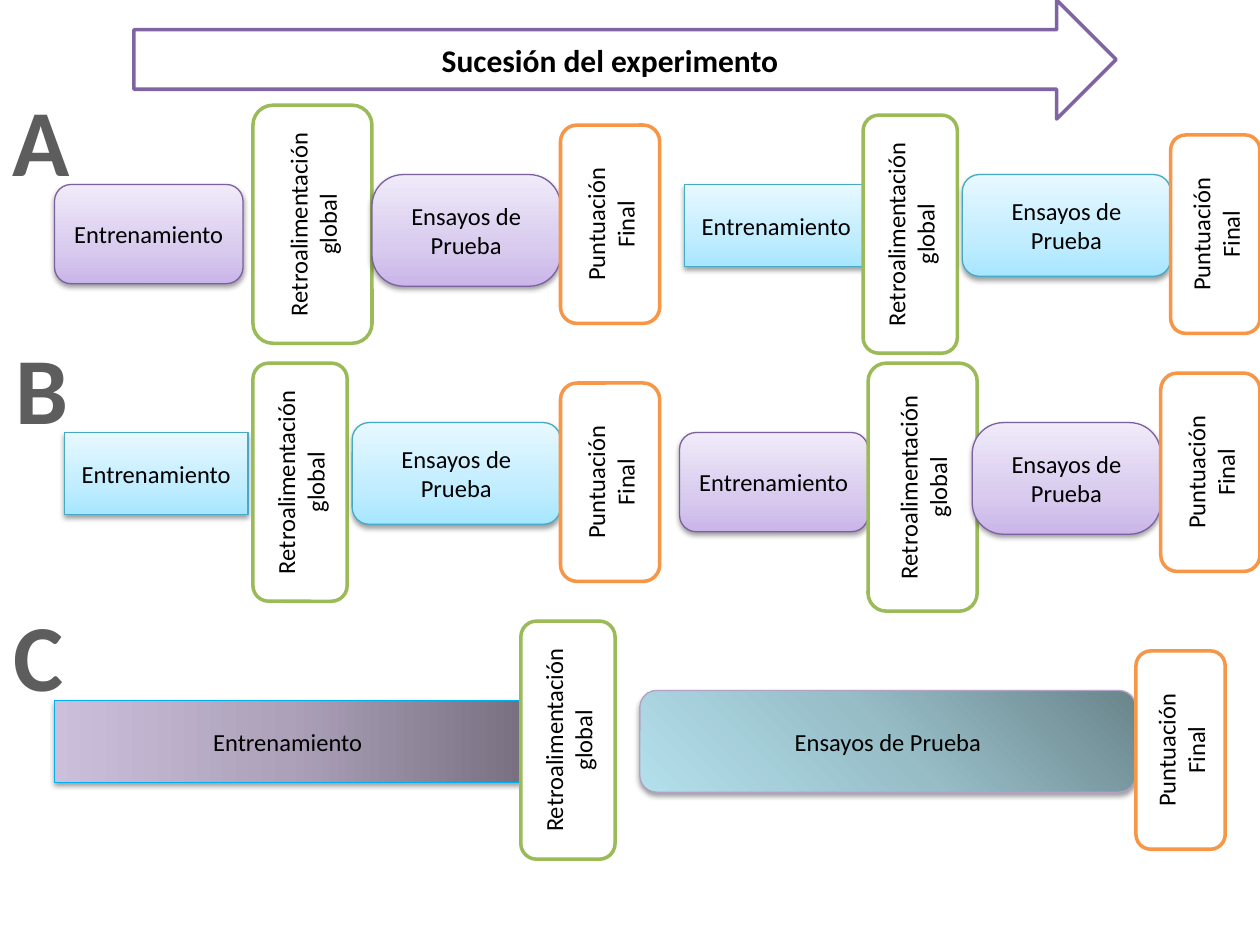
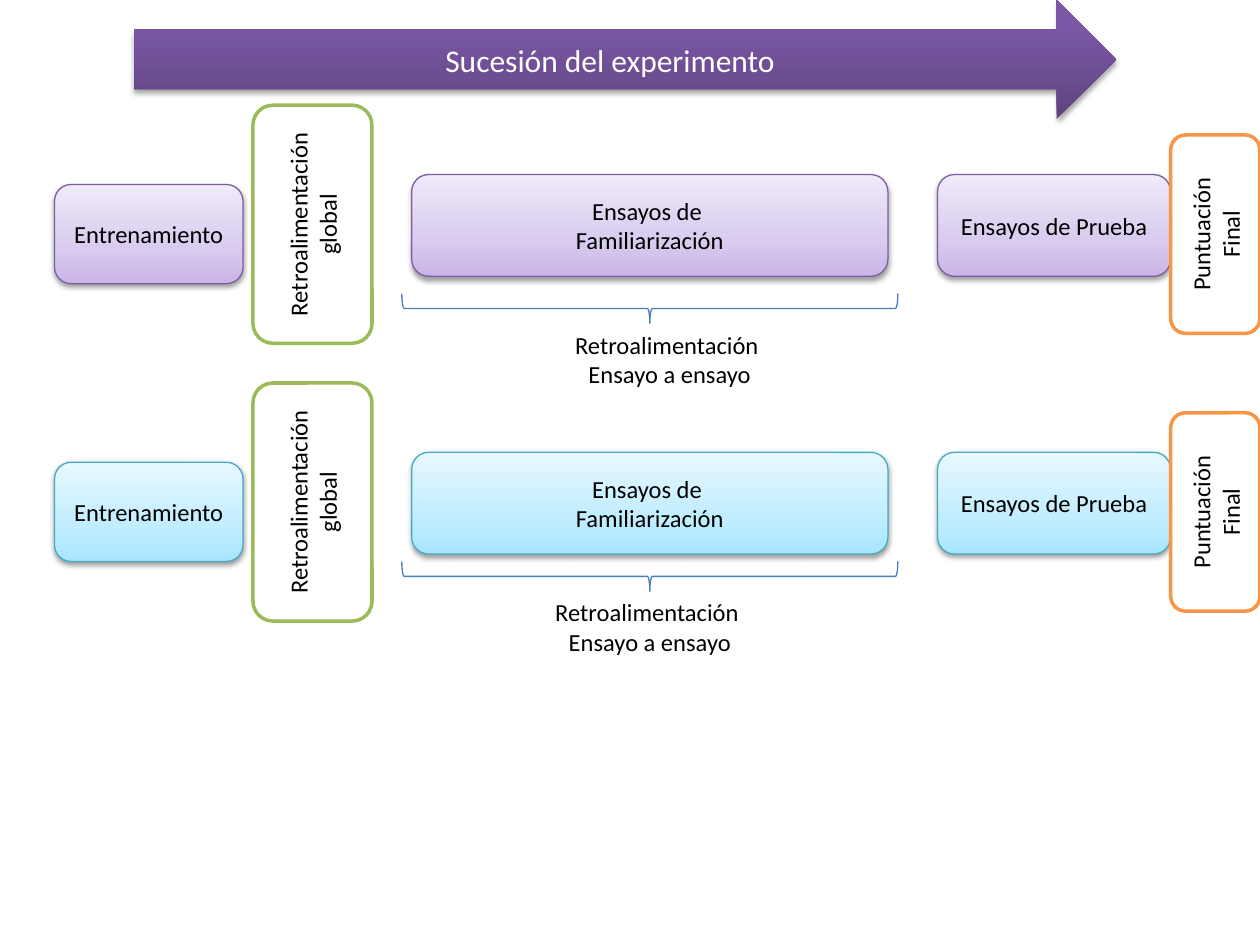
from lxml import etree
from pptx import Presentation
from pptx import util as u
from pptx.dml import color
from pptx.enum import shapes, text
from pptx.oxml import ns

CELL = u.Mm(2)
FIRST_ROW = 10.6
ROUND = shapes.MSO_SHAPE.ROUNDED_RECTANGLE
RECT = shapes.MSO_SHAPE.RECTANGLE

PURPLE = {"stops": [(0, "C9B5E8"), (35, "D8CBEE"), (100, "F0EAF9")], "angle": 90, "line": "7D60A0"}
CYAN = {"stops": [(0, "A7E6FF"), (35, "C1EDFF"), (100, "E7F8FF")], "angle": 90, "line": "46AAC5"}
MAUVE = {"stops": [(0, "797182"), (50, "ACA1B9"), (100, "CCBFDC")], "angle": 180, "line": "00B0F0"}
TEAL = {"stops": [(0, "6A858C"), (50, "97BDC7"), (100, "B3E0EC")], "angle": 225, "line": "B3A2C7"}
VIOLET = {"stops": [(0, "5F4480"), (80, "7B58A6"), (100, "7C57A8")], "angle": 90, "line": None}
LETTER_STOPS = [(0, "555555"), (49, "5D5D5D"), (50, "000000"), (95, "000000"), (100, "000000")]

TRAINING, TRIALS = "Entrenamiento", "Ensayos de Prueba"
FAMILIARIZATION = "Ensayos de \vFamiliarización"
FEEDBACK, SCORE = "Retroalimentación global", "Puntuación Final"
TRIAL_FEEDBACK = "Retroalimentación \nEnsayo a ensayo"
TIMELINE = "Sucesión del experimento"


def rgb(value):
    return color.RGBColor.from_string(value)


def add_element(parent, tag, **values):
    return etree.SubElement(parent, ns.qn(tag), {key: str(value) for key, value in values.items()})


def paint_gradient(fill, holder, stops, angle):
    fill.gradient()
    fill.gradient_angle = angle
    stop_list = holder.find(f"{ns.qn('a:gradFill')}/{ns.qn('a:gsLst')}")
    for old_stop in list(stop_list):
        stop_list.remove(old_stop)
    for position, value in stops:
        stop = add_element(stop_list, "a:gs", pos=position * 1000)
        add_element(stop, "a:srgbClr", val=value)


class Scheme:
    body = {"name": "Calibri", "size": u.Pt(14)}
    heading = {"name": "Calibri", "size": u.Pt(18)}
    letter_font = {"name": "Calibri", "size": u.Pt(54), "bold": True}

    def __init__(self):
        self.deck = Presentation()
        self.deck.slide_width, self.deck.slide_height = u.Inches(10), u.Inches(7.5)

    def new_slide(self):
        self.slide = self.deck.slides.add_slide(self.deck.slide_layouts[6])

    def frame(self, left, top, width, height, turned=False):
        if turned:
            left, top = left + (width - height) / 2, top + (height - width) / 2
            width, height = height, width
        return [round(cells * CELL) for cells in (left, top, width, height)]

    def set_wording(self, shape, wording, style, ink="000000"):
        shape.text_frame.text = wording
        for paragraph in shape.text_frame.paragraphs:
            paragraph.alignment = text.PP_ALIGN.CENTER
            for run in paragraph.runs:
                for key, value in style.items():
                    setattr(run.font, key, value)
                run.font.color.rgb = rgb(ink)

    def block(self, kind, place, line, weight, rotation=0):
        shape = self.slide.shapes.add_shape(kind, *self.frame(*place, turned=rotation != 0))
        shape.rotation = rotation
        shape.shadow.inherit = False
        shape.text_frame.word_wrap = True
        shape.text_frame.vertical_anchor = text.MSO_ANCHOR.MIDDLE
        if line:
            shape.line.color.rgb = rgb(line)
            shape.line.width = u.Pt(weight)
        else:
            shape.line.fill.background()
        return shape

    def whiten(self, shape):
        shape.fill.solid()
        shape.fill.fore_color.rgb = rgb("FFFFFF")

    def shade(self, shape, theme, opacity=38, distance=1.6):
        properties = shape.element.spPr
        paint_gradient(shape.fill, properties, theme["stops"], theme["angle"])
        shadow = add_element(properties.find(ns.qn("a:effectLst")), "a:outerShdw", blurRad=u.Pt(3.1),
                             dist=u.Pt(distance), dir=5400000, rotWithShape=0)
        black = add_element(shadow, "a:srgbClr", val="000000")
        add_element(black, "a:alpha", val=opacity * 1000)

    def stage(self, wording, theme, place, kind=ROUND, corner=None):
        shape = self.block(kind, place, theme["line"], 0.75)
        if corner:
            shape.adjustments[0] = corner
        self.shade(shape, theme)
        self.set_wording(shape, wording, self.body)

    def upright(self, wording, line, place):
        shape = self.block(ROUND, place, line, 2, 270)
        self.whiten(shape)
        self.set_wording(shape, wording, self.body)

    def feedback(self, left, top, width, height=24):
        self.upright(FEEDBACK, "9BBB59", (left, top, width, height))

    def score(self, left, top, width):
        self.upright(SCORE, "F79646", (left, top, width, 20))

    def timeline(self, filled):
        line = None if filled else "8064A2"
        arrow = self.block(shapes.MSO_SHAPE.RIGHT_ARROW, (13.5, 0, 99, 12), line, 2)
        if filled:
            self.shade(arrow, VIOLET, 35, 1.8)
            self.set_wording(arrow, TIMELINE, self.heading, "FFFFFF")
        else:
            self.whiten(arrow)
            self.set_wording(arrow, TIMELINE, {**self.heading, "bold": True})

    def brace(self, top):
        shape = self.block(shapes.MSO_SHAPE.RIGHT_BRACE, (40.5, top, 50, 3), "4B7EBC", 0.75, 90)
        shape.fill.background()

    def label(self, wording, place, style, wrap=True):
        box = self.slide.shapes.add_textbox(*self.frame(*place))
        box.text_frame.word_wrap = wrap
        box.text_frame.auto_size = text.MSO_AUTO_SIZE.SHAPE_TO_FIT_TEXT
        self.set_wording(box, wording, style)
        return box

    def letter(self, wording, left, top, width):
        box = self.label(wording, (left, top, width, 12.83), self.letter_font, wrap=False)
        font = box.text_frame.paragraphs[0].runs[0].font
        properties = box.element.find(f".//{ns.qn('a:rPr')}")
        paint_gradient(font.fill, properties, LETTER_STOPS, 270)
        outline = etree.Element(ns.qn("a:ln"), w=str(u.Pt(1.4)))
        add_element(add_element(outline, "a:solidFill"), "a:srgbClr", val="FFFFFF")
        properties.insert(0, outline)

    def purple_phase(self, row, training, feedback, trials, score):
        self.stage(TRAINING, PURPLE, (training[0], row + training[1], 19, 10))
        self.feedback(feedback[0], row + feedback[1], *feedback[2:])
        self.stage(TRIALS, PURPLE, (trials[0], row + trials[1], 19, 11.25), corner=0.28)
        self.score(score[0], row + score[1], 10)

    def cyan_phase(self, row, training, feedback, trials, score):
        self.stage(TRAINING, CYAN, (training[0], row + training[1], 18.5, 8.25), RECT)
        self.feedback(feedback[0], row + feedback[1], 9.5)
        self.stage(TRIALS, CYAN, (trials[0], row + trials[1], 21, 10.25))
        self.score(score[0], row + score[1], score[2])


def build_group_designs(scheme):
    scheme.new_slide()
    scheme.timeline(filled=False)
    row_a, row_b, row_c = (FIRST_ROW + 26 * index for index in range(3))
    scheme.purple_phase(row_a, (5.5, 8), (25.5, 0, 12), (37.5, 7), (56.5, 2))
    scheme.cyan_phase(row_a, (69, 8), (87, 1), (97, 7), (118, 3, 9))
    scheme.cyan_phase(row_b, (6.5, 7), (25.5, 0), (35.5, 6), (56.5, 2, 10))
    scheme.purple_phase(row_b, (68.5, 7), (87.5, 0, 11, 25), (98, 6), (117, 1))
    scheme.stage(TRAINING, MAUVE, (5.5, row_c + 8, 47, 8.25), RECT)
    scheme.feedback(52.5, row_c, 9.5)
    scheme.stage(TRIALS, TEAL, (64.5, row_c + 7, 50, 10.25))
    scheme.score(114.5, row_c + 3, 9)
    scheme.letter("A", 0, row_a - 3, 8.4)
    scheme.letter("B", 0.25, row_b - 4, 8)
    scheme.letter("C", 0.1, row_c - 3, 7.6)


def build_familiarization_design(scheme):
    scheme.new_slide()
    scheme.timeline(filled=True)
    for index, (theme, brace_rise, caption_left) in enumerate([(PURPLE, 0, 48.5), (CYAN, 1, 46.5)]):
        row = FIRST_ROW + 28 * index
        scheme.stage(TRAINING, theme, (5.5, row + 8, 19, 10))
        scheme.feedback(25.5, row, 12)
        scheme.stage(FAMILIARIZATION, theme, (41.5, row + 7, 48, 10.25))
        scheme.stage(TRIALS, theme, (94.5, row + 7, 23.5, 10.25))
        scheme.score(118, row + 3, 9)
        scheme.brace(row + 19 - brace_rise)
        scheme.label(TRIAL_FEEDBACK, (caption_left, row + 22 - brace_rise, 38, 7.25), scheme.body)


def main():
    scheme = Scheme()
    build_group_designs(scheme)
    build_familiarization_design(scheme)
    scheme.deck.save("out.pptx")


if __name__ == "__main__":
    main()
